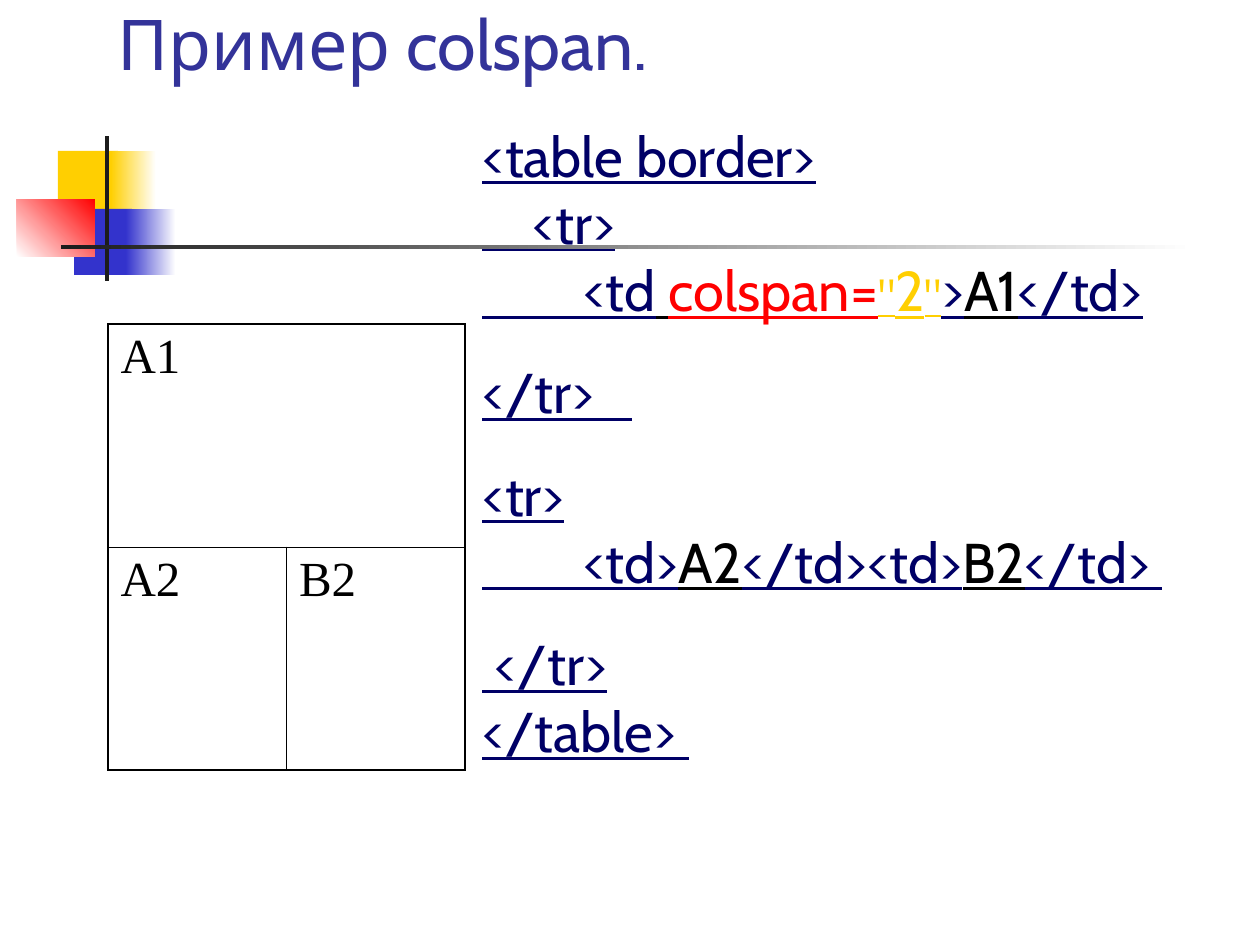
from lxml.etree import SubElement
from pptx import Presentation
from pptx.dml.color import RGBColor
from pptx.enum.shapes import MSO_SHAPE as SHAPE
from pptx.enum.text import MSO_ANCHOR as ANCHOR
from pptx.oxml.ns import qn
from pptx.util import Pt

PX = 914400 // 126
WHITE = RGBColor(0xFF, 0xFF, 0xFF)
BLACK = RGBColor(0, 0, 0)
YELLOW = RGBColor(0xFF, 0xCF, 0x01)
BLUE = RGBColor(0x33, 0x33, 0xCC)
RED = RGBColor(0xFF, 0, 0)
DARK = RGBColor(0x1C, 0x1C, 0x1C)
TITLE = RGBColor(0x33, 0x33, 0x99)
NAVY = RGBColor(0, 0, 0x66)

# Paragraphs of lines; a line holds (text, colour, size) runs.
CODE = [
    [
        [("<table border>", NAVY, 32)],
        [("    <tr>", NAVY, 32)],
        [("        <td", NAVY, 32), (" ", BLACK, 32), ("colspan=", RED, 32),
         ('"', YELLOW, 24), ("2", YELLOW, 32), ('"', YELLOW, 24),
         (">", NAVY, 32), ("A1", BLACK, 32), ("</td>", NAVY, 32)],
    ],
    [[("</tr>   ", NAVY, 32)]],
    [
        [("<tr>", NAVY, 32)],
        [("        <td>", NAVY, 32), ("A2", BLACK, 32),
         ("</td><td>", NAVY, 32), ("B2", BLACK, 32), ("</td> ", NAVY, 32)],
    ],
    [[(" </tr>", NAVY, 32)], [("</table> ", NAVY, 32)]],
]


def px(*lengths):
    return [n * PX for n in lengths]


def add_rect(s, x, y, w, h, start, end=None, angle=0):
    """Draw a borderless rectangle, shaded from start to end if end is given."""
    sp = s.shapes.add_shape(SHAPE.RECTANGLE, *px(x, y, w, h))
    sp.shadow.inherit = False
    sp.line.fill.background()
    if end is None:
        sp.fill.solid()
        sp.fill.fore_color.rgb = start
        return
    sp.fill.gradient()
    sp.fill.gradient_angle = angle
    for stop, color in zip(sp.fill.gradient_stops, (start, end)):
        stop.color.rgb = color


def add_ornament(s, x, y):
    """Draw the coloured squares and the crossing rules."""
    add_rect(s, x + 41, y + 15, 60, 66, YELLOW)
    add_rect(s, x + 94, y + 15, 45, 66, YELLOW, WHITE)
    add_rect(s, x + 57, y + 73, 58, 66, BLUE)
    add_rect(s, x + 109, y + 73, 50, 66, BLUE, WHITE)
    add_rect(s, x, y + 63, 78, 58, WHITE, RED, 45)
    add_rect(s, x + 88, y, 4, 145, DARK)
    add_rect(s, x + 44, y + 109, 1134, 4, DARK, WHITE)


def add_title(s, x, y, w, h):
    tf = s.shapes.add_textbox(*px(x, y, w, h)).text_frame
    tf.word_wrap = True
    tf.vertical_anchor = ANCHOR.BOTTOM
    tf.margin_top, tf.margin_bottom = px(0, 2)
    p = tf.paragraphs[0]
    p.text = "Пример colspan."
    p.font.name = "Cabin"
    p.font.size = Pt(40)
    p.font.color.rgb = TITLE


def set_borders(cell, outer_sides):
    tc_pr = cell._tc.get_or_add_tcPr()
    for side in "LRTB":
        width = Pt(1.08 if side in outer_sides else 0.45)
        ln = SubElement(tc_pr, qn(f"a:ln{side}"), w=str(width))
        fill = SubElement(ln, qn("a:solidFill"))
        SubElement(fill, qn("a:srgbClr"), val=str(BLACK))


def add_example_table(s, x, y, w, h):
    table = s.shapes.add_table(2, 2, *px(x, y, w, h)).table
    table.first_row = table.horz_banding = False
    rows = [["A1", ""], ["A2", "B2"]]
    table.cell(0, 0).merge(table.cell(0, 1))
    for r, texts in enumerate(rows):
        for c, text in enumerate(texts):
            cell = table.cell(r, c)
            sides = "LRT" if r == 0 else "LB" if c == 0 else "RB"
            set_borders(cell, sides)
            cell.fill.background()
            if text:
                p = cell.text_frame.paragraphs[0]
                p.text = text
                p.font.name = "Times New Roman"
                p.font.size = Pt(28)
                p.font.color.rgb = BLACK


def add_code(s, x, y, w, h):
    tf = s.shapes.add_textbox(*px(x, y, w, h)).text_frame
    tf.word_wrap = True
    for i, lines in enumerate(CODE):
        p = tf.add_paragraph() if i else tf.paragraphs[0]
        p.font.name = "Cabin"
        p.font.size = Pt(32)
        if i:
            p.space_before = Pt(20)
        for j, runs in enumerate(lines):
            if j:
                p.add_line_break()
            for text, color, size in runs:
                r = p.add_run()
                r.text = text
                r.font.name = "Cabin"
                r.font.size = Pt(size)
                r.font.underline = True
                r.font.color.rgb = color
    for br in tf._txBody.iter(qn("a:br")):
        SubElement(br, qn("a:rPr"), sz="3200")


def main():
    prs = Presentation()
    prs.slide_width, prs.slide_height = px(1260, 945)
    s = prs.slides.add_slide(prs.slide_layouts[6])
    add_ornament(s, 17, 136)
    add_title(s, 105, 0, 1071, 86)
    add_example_table(s, 108, 324, 357, 446)
    add_code(s, 470, 115, 790, 723)
    prs.save("out.pptx")


if __name__ == "__main__":
    main()
